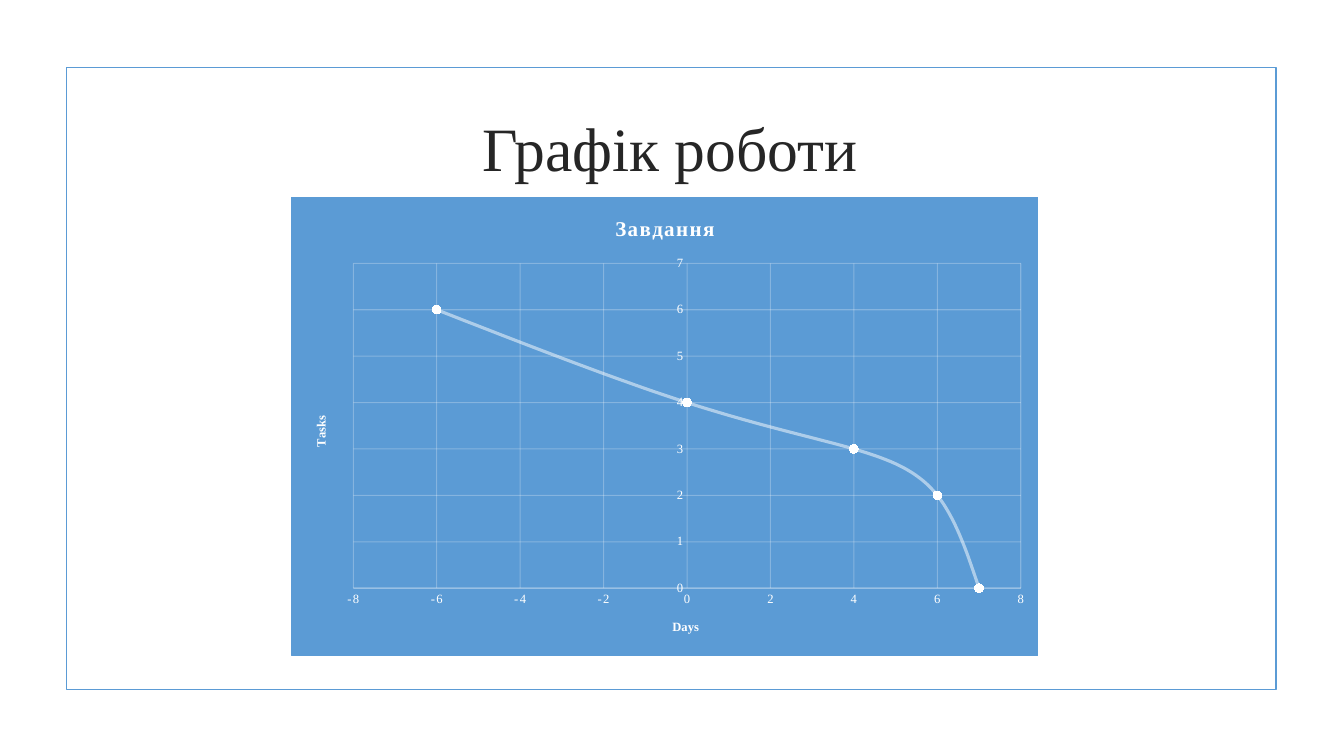
"""Build the work schedule slide with its smooth scatter chart."""
from lxml import etree
from pptx import Presentation
from pptx.chart.data import XyChartData
from pptx.dml.color import RGBColor
from pptx.enum import chart as ch, shapes, text
from pptx.oxml import parse_xml
from pptx.oxml.ns import nsdecls, qn
from pptx.util import Inches, Pt

FONT = "Times New Roman"
BLUE, WHITE, DARK = "5B9BD5", "FFFFFF", "262626"
TITLE = "Графік роботи"
HEAD = "Завдання"
NAMES = ("Days", "Tasks")
SCALES = ((-8, 8, 2), (0, 7, 1))
SERIES = {
    "Series 1": [(-6, 6), (7, 0), (None, None)],
    "Series 2": [(-6, 6), (0, 4), (4, 3), (6, 2), (7, 0)],
}
FRAME = (0.66, 0.67, 12, 6.17)
TITLE_BOX = (0.7, 0.74, 11.9, 1.43)
CHART_BOX = (2.89, 1.95, 7.41, 4.56)
PLOT_BOX = (0.61, 0.66, 6.63, 3.23)


def rgb(code):
    return RGBColor.from_string(code)


def style(font, size, color=WHITE, bold=False, gap=0):
    font.name, font.size, font.bold = FONT, Pt(size), bold
    font.color.rgb = rgb(color)
    if gap:
        font._element.set("spc", str(gap))


def write(frame, words, size, **look):
    para = frame.paragraphs[0]
    para.alignment = text.PP_ALIGN.CENTER
    run = para.add_run()
    run.text = words
    style(run.font, size, **look)


def stroke(line, width, color=WHITE):
    line.color.rgb = rgb(color)
    line.width = Pt(width)


def set_axis(axis, name, scale):
    axis.minimum_scale, axis.maximum_scale, axis.major_unit = scale
    axis.major_tick_mark = axis.minor_tick_mark = ch.XL_TICK_MARK.NONE
    axis.has_major_gridlines = True
    stroke(axis.major_gridlines.format.line, 0.75)
    style(axis.tick_labels.font, 9, gap=100)
    axis.has_title = True
    write(axis.axis_title.text_frame, name, 9, bold=True)


def set_curve(curve):
    stroke(curve.format.line, 2.25)
    curve.marker.style = ch.XL_MARKER_STYLE.CIRCLE
    curve.marker.size = 6
    curve.marker.format.fill.solid()
    curve.marker.format.fill.fore_color.rgb = rgb(WHITE)
    curve.marker.format.line.fill.background()


def finish(root):
    """Set blanks, smoothing, fill, plot area, faint lines and turned title."""
    plot = next(root.iter(qn("c:plotArea")))
    for point in list(plot.iter(qn("c:pt"))):
        if point.findtext(qn("c:v")) == "None":
            point.getparent().remove(point)
    for smooth in plot.iter(qn("c:smooth")):
        smooth.set("val", "1")
    for line in plot.iter(qn("a:ln")):
        owner = line.getparent().getparent()
        alpha = 50000 if owner.tag == qn("c:ser") else 25000
        for color in line.iter(qn("a:srgbClr")):
            etree.SubElement(color, qn("a:alpha")).set("val", str(alpha))
    turned = list(root.iter(qn("c:title")))[-1]
    body = next(turned.iter(qn("a:bodyPr")))
    body.set("rot", "-5400000")
    body.set("vert", "horz")
    old = plot.find(qn("c:layout"))
    if old is not None:
        plot.remove(old)
    modes = '<c:layoutTarget val="inner"/><c:xMode val="edge"/><c:yMode val="edge"/>'
    sizes = "".join(f'<c:{key} val="{part / whole:.4f}"/>' for key, part, whole
                    in zip("xywh", PLOT_BOX, CHART_BOX[2:] * 2))
    plot.insert(0, parse_xml(
        f'<c:layout {nsdecls("c")}><c:manualLayout>{modes}{sizes}'
        '</c:manualLayout></c:layout>'))
    fill = f'<a:solidFill><a:srgbClr val="{BLUE}"/></a:solidFill>'
    root.find(qn("c:chart")).addnext(parse_xml(
        f'<c:spPr {nsdecls("c", "a")}>{fill}<a:ln w="9525">{fill}</a:ln></c:spPr>'))


def add_graph(slide):
    data = XyChartData()
    for name, points in SERIES.items():
        row = data.add_series(name)
        for x, y in points:
            row.add_data_point(x, y)
    chart = slide.shapes.add_chart(
        ch.XL_CHART_TYPE.XY_SCATTER_SMOOTH, *map(Inches, CHART_BOX), data).chart
    style(chart.font, 10)
    chart.has_legend = False
    chart.has_title = True
    write(chart.chart_title.text_frame, HEAD, 15, bold=True, gap=100)
    for axis, name, scale in zip((chart.category_axis, chart.value_axis), NAMES, SCALES):
        set_axis(axis, name, scale)
    stroke(chart.category_axis.format.line, 1)
    chart.value_axis.format.line.fill.background()
    plot = chart.plots[0]
    plot.vary_by_categories = False
    for curve in plot.series:
        set_curve(curve)
    plot.series[0].format.line.fill.background()
    finish(chart.element)


def main():
    deck = Presentation()
    deck.slide_width, deck.slide_height = Inches(13.33), Inches(7.5)
    slide = deck.slides.add_slide(deck.slide_layouts[5])
    title = slide.shapes.title
    title.left, title.top, title.width, title.height = map(Inches, TITLE_BOX)
    title.text_frame.vertical_anchor = text.MSO_ANCHOR.MIDDLE
    write(title.text_frame, TITLE, 44, color=DARK)
    frame = slide.shapes.add_shape(shapes.MSO_SHAPE.RECTANGLE, *map(Inches, FRAME))
    frame.shadow.inherit = False
    frame.fill.background()
    stroke(frame.line, 1.25, BLUE)
    add_graph(slide)
    deck.save("out.pptx")


if __name__ == "__main__":
    main()
